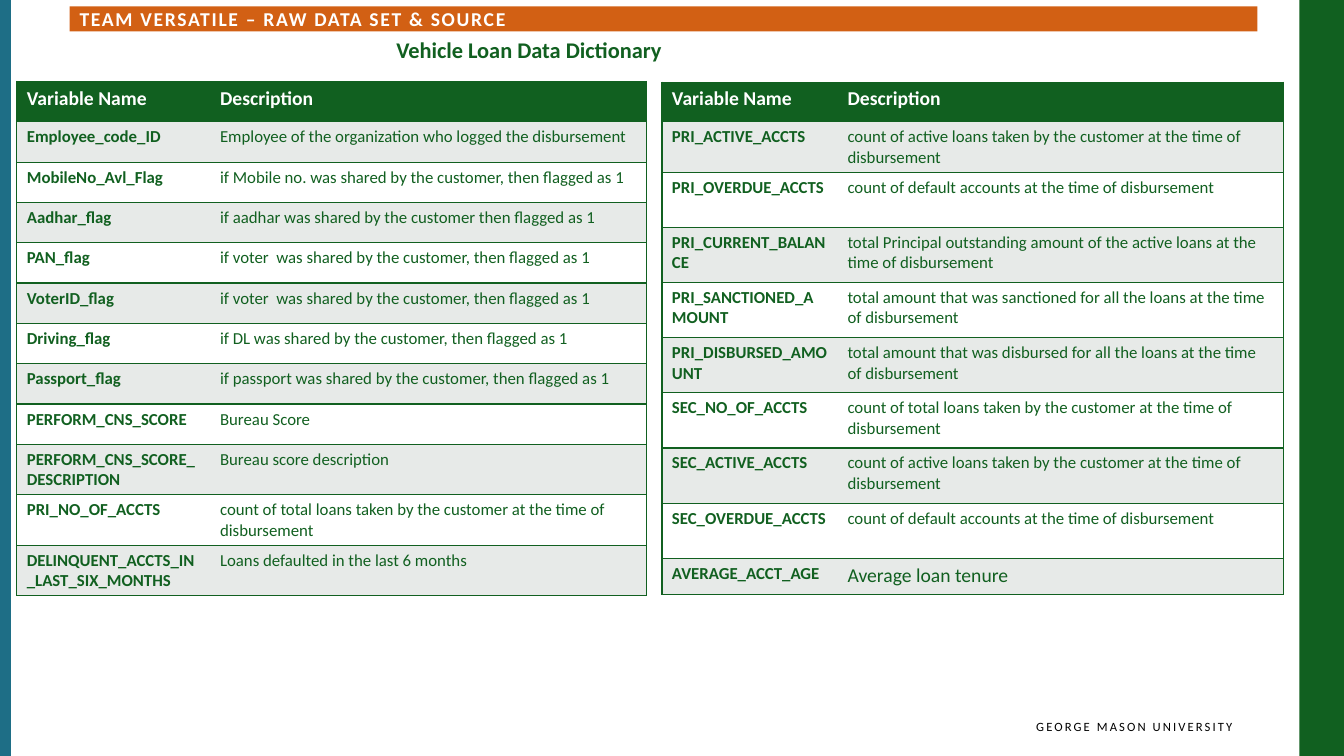
from dataclasses import dataclass

from pptx import Presentation
from pptx import util as u
from pptx.dml import color
from pptx.enum import shapes, text
from pptx.oxml import ns, xmlchemy as xc


@dataclass(frozen=True)
class Theme:
    font: str = "Calibri"
    green: str = "116020"
    teal: str = "1E6E86"
    orange: str = "D26014"
    band: str = "E7EAE8"
    white: str = "FFFFFF"
    black: str = "000000"
    title: int = 16
    heading: int = 14
    body: int = 12
    footer: int = 9


class Board:
    """One slide on a grid of 160 columns by 90 rows."""

    def __init__(self, prs, theme):
        self.theme = theme
        self.col = prs.slide_width / 160
        self.row = prs.slide_height / 90
        self.s = prs.slides.add_slide(prs.slide_layouts[6])

    def place(self, x, y, w, h):
        return (round(x * self.col), round(y * self.row),
                round(w * self.col), round(h * self.row))

    def paint(self, fill, rgb):
        fill.solid()
        fill.fore_color.rgb = color.RGBColor.from_string(rgb)

    def run(self, p, words, size, rgb, bold=False, spacing=0):
        r = p.add_run()
        r.text = words
        r.font.name = self.theme.font
        r.font.size = u.Pt(size)
        r.font.bold = bold
        r.font.color.rgb = color.RGBColor.from_string(rgb)
        if spacing:
            r.font._element.set("spc", str(round(spacing * 100)))

    def bar(self, x, y, w, h, rgb):
        sp = self.s.shapes.add_shape(shapes.MSO_SHAPE.RECTANGLE, *self.place(x, y, w, h))
        sp.shadow.inherit = False
        self.paint(sp.fill, rgb)
        sp.line.fill.background()
        return sp

    def banner(self, x, y, w, h, words):
        tf = self.bar(x, y, w, h, self.theme.orange).text_frame
        tf.margin_top = tf.margin_bottom = 0
        tf.vertical_anchor = text.MSO_ANCHOR.MIDDLE
        p = tf.paragraphs[0]
        p.alignment = text.PP_ALIGN.LEFT
        self.run(p, words, self.theme.heading, self.theme.white, True, 1.2)

    def label(self, x, y, w, h, words, size, rgb, bold=False, spacing=0,
              align=text.PP_ALIGN.LEFT, right=0.1):
        tf = self.s.shapes.add_textbox(*self.place(x, y, w, h)).text_frame
        tf.word_wrap = True
        tf.margin_right = u.Inches(right)
        p = tf.paragraphs[0]
        p.alignment = align
        self.run(p, words, size, rgb, bold, spacing)

    def border(self, cell, sides):
        tc_pr = cell._tc.get_or_add_tcPr()
        for side in sides:
            ln = xc.OxmlElement(f"a:ln{side}")
            ln.set("w", str(u.Pt(1)))
            fill = xc.OxmlElement("a:solidFill")
            rgb = xc.OxmlElement("a:srgbClr")
            rgb.set("val", self.theme.green)
            fill.append(rgb)
            ln.append(fill)
            tc_pr.append(ln)

    def dictionary(self, x, y, widths, heights, entries):
        t = self.theme
        rows = [("Variable Name", "Description", t.heading)] + entries
        frame = self.s.shapes.add_table(
            len(rows), 2, *self.place(x, y, sum(widths), sum(heights)))
        table = frame.table
        # Plain table style, without built-in lines
        style = table._tbl.tblPr.find(ns.qn("a:tableStyleId"))
        style.text = "{2D5ABB26-0587-4C30-8999-92F81FD0307C}"
        for column, width in zip(table.columns, widths):
            column.width = round(width * self.col)
        for i, (height, (name, meaning, *size)) in enumerate(zip(heights, rows)):
            table.rows[i].height = round(height * self.row)
            fill = t.green if i == 0 else t.band if i % 2 else t.white
            ink = t.white if i == 0 else t.green
            meaning_size = size[0] if size else t.body
            name_size = t.heading if i == 0 else t.body
            parts = ((name, name_size, True, "LTB"), (meaning, meaning_size, i == 0, "RTB"))
            for j, (words, pt, bold, sides) in enumerate(parts):
                cell = table.cell(i, j)
                self.border(cell, sides)
                self.paint(cell.fill, fill)
                self.run(cell.text_frame.paragraphs[0], words, pt, ink, bold)


TOTAL = "count of total loans taken by the customer at the time of disbursement"
ACTIVE = "count of active loans taken by the customer at the time of disbursement"
OVERDUE = "count of default accounts at the time of disbursement"
VOTER = "if voter  was shared by the customer, then flagged as 1"

CUSTOMER_FIELDS = [
    ("Employee_code_ID", "Employee of the organization who logged the disbursement"),
    ("MobileNo_Avl_Flag", "if Mobile no. was shared by the customer, then flagged as 1"),
    ("Aadhar_flag", "if aadhar was shared by the customer then flagged as 1"),
    ("PAN_flag", VOTER),
    ("VoterID_flag", VOTER),
    ("Driving_flag", "if DL was shared by the customer, then flagged as 1"),
    ("Passport_flag", "if passport was shared by the customer, then flagged as 1"),
    ("PERFORM_CNS_SCORE", "Bureau Score"),
    ("PERFORM_CNS_SCORE_DESCRIPTION", "Bureau score description"),
    ("PRI_NO_OF_ACCTS", TOTAL),
    ("DELINQUENT_ACCTS_IN_LAST_SIX_MONTHS", "Loans defaulted in the last 6 months"),
]
ACCOUNT_FIELDS = [
    ("PRI_ACTIVE_ACCTS", ACTIVE),
    ("PRI_OVERDUE_ACCTS", OVERDUE),
    ("PRI_CURRENT_BALANCE",
     "total Principal outstanding amount of the active loans at the time of disbursement"),
    ("PRI_SANCTIONED_AMOUNT",
     "total amount that was sanctioned for all the loans at the time of disbursement"),
    ("PRI_DISBURSED_AMOUNT",
     "total amount that was disbursed for all the loans at the time of disbursement"),
    ("SEC_NO_OF_ACCTS", TOTAL),
    ("SEC_ACTIVE_ACCTS", ACTIVE),
    ("SEC_OVERDUE_ACCTS", OVERDUE),
    ("AVERAGE_ACCT_AGE", "Average loan tenure", Theme.heading),
]


def main():
    prs = Presentation()
    prs.slide_width, prs.slide_height = u.Inches(13.33), u.Inches(7.5)
    t = Theme()
    board = Board(prs, t)

    # Side bars and footer
    board.bar(154.7, 0, 5.3, 90, t.green)
    board.bar(0, 0, 1.3, 90, t.teal)
    board.label(81.4, 85, 65.3, 4, "GEORGE MASON UNIVERSITY", t.footer, t.black,
                spacing=1.5, align=text.PP_ALIGN.RIGHT, right=0)

    # Heading
    board.banner(8.3, 0.75, 141.4, 3, "TEAM VERSATILE – RAW DATA SET & SOURCE")
    board.label(46, 3.7, 36, 5.5, "Vehicle Loan Data Dictionary", t.title, t.green, True)

    # Data dictionary, in two tables
    board.dictionary(2, 9.7, (23, 52), [4.8] * 9 + [5.9] * 3, CUSTOMER_FIELDS)
    board.dictionary(78.8, 9.8, (20.9, 53.1), [4.7, 5.8] + [6.57] * 7 + [4.3],
                     ACCOUNT_FIELDS)

    prs.save("out.pptx")


if __name__ == "__main__":
    main()
